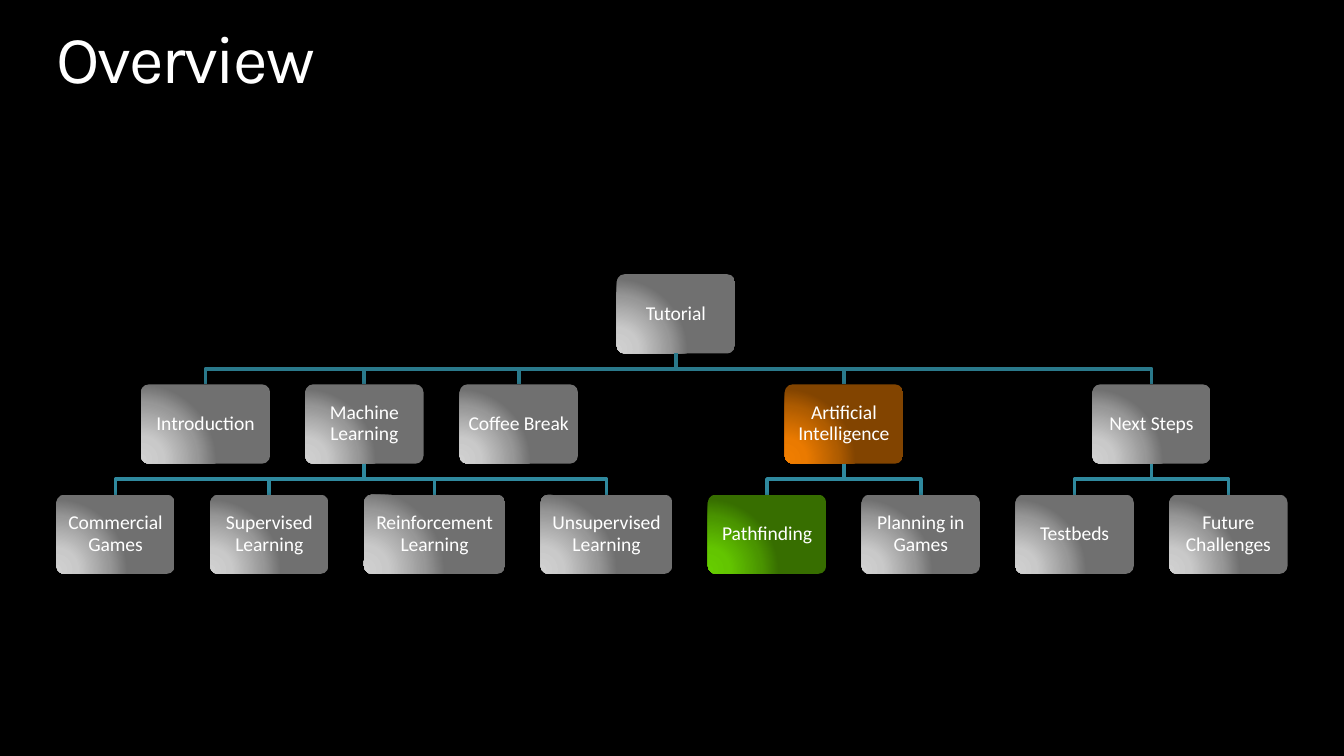
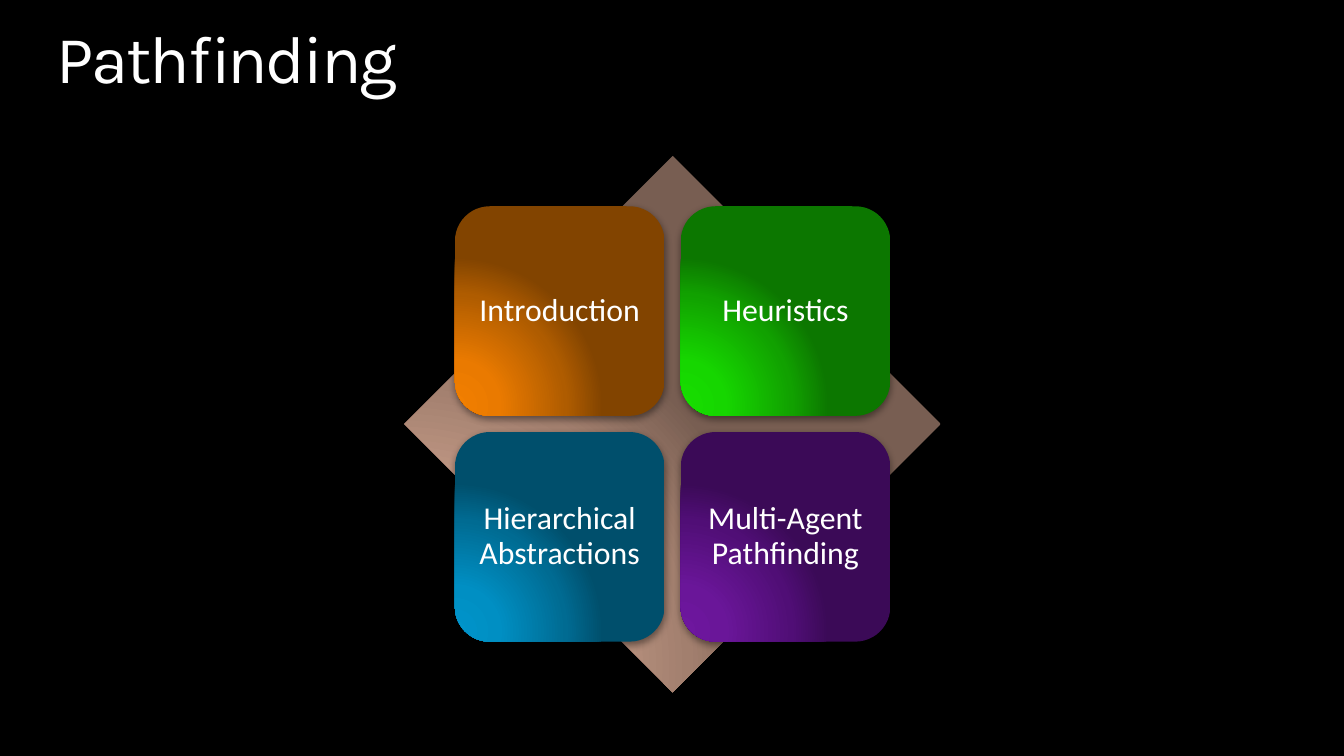
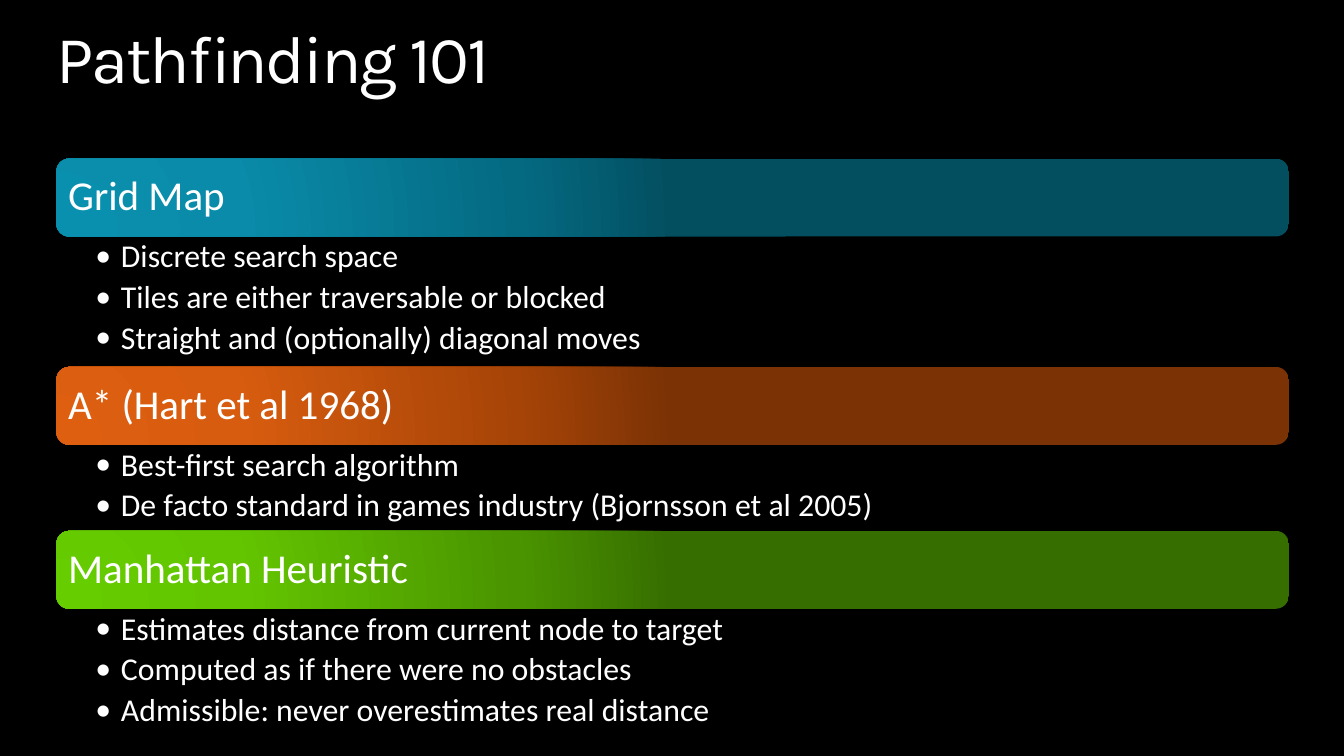
from lxml import etree
from pptx import Presentation
from pptx.dml.color import RGBColor
from pptx.enum import shapes as kinds, text as t
from pptx.oxml import ns
from pptx.util import Inches, Pt

COLORS = {"background": "000000", "text": "FFFFFF", "title_end": "85CBFF",
          "trunk": "2A798B", "twig": "2F899E"}

# Glow colours, from the bright lower left corner outwards
GLOWS = {
    "gray": ("D1D1D1", "C9C9C9", "979797", "707070"),
    "orange": ("F27F00", "EA7A00", "AF5C00", "824400"),
    "lime": ("66CD00", "63C500", "4A9400", "376E00"),
    "green": ("17DE00", "16D600", "11A100", "0C7700"),
    "blue": ("0094CA", "008FC3", "006B92", "004F6C"),
    "purple": ("6E179E", "6A1699", "500E76", "3B0A57"),
    "tan": ("DEB19B", "D6AA95", "A27F6E", "785E52"),
    "teal": ("0A90AF", "0A8BA9", "046A82", "034F60"),
    "rust": ("DF5F10", "D75C0F", "A64407", "7B3205"),
}
GLOW_STOPS = (0, 30, 75, 100)
GLOW_CENTRE = {"l": 5, "t": 100, "r": 120, "b": 10}
MARGIN, CONTENT_WIDTH = 0.42, 9.16


def rgb(name):
    return RGBColor.from_string(COLORS[name])


def add_xml(parent, tag, **attributes):
    child = etree.SubElement(parent, ns.qn(tag))
    for key, value in attributes.items():
        child.set(key, str(value))
    return child


def write(frame, lines, size=17, font="Calibri", align=t.PP_ALIGN.LEFT,
          anchor=t.MSO_ANCHOR.MIDDLE, insets=(0, 0, 0, 0), bullet=False, after=0):
    """Fill a text frame, one paragraph per line, and return its runs."""
    frame.word_wrap = True
    frame.vertical_anchor = anchor
    (frame.margin_left, frame.margin_top,
     frame.margin_right, frame.margin_bottom) = map(Inches, insets)
    runs = []
    for index, line in enumerate(lines):
        paragraph = frame.paragraphs[0] if index == 0 else frame.add_paragraph()
        if bullet:
            paragraph.level = 1
            properties = paragraph._p.get_or_add_pPr()
            properties.set("marL", str(Inches(0.19)))
            properties.set("indent", str(Inches(-0.19)))
            add_xml(properties, "a:buFont", typeface=font)
            add_xml(properties, "a:buChar", char="•")
        paragraph.alignment = align
        paragraph.line_spacing = 0.9
        paragraph.space_before = Pt(0)
        paragraph.space_after = Pt(after)
        run = paragraph.add_run()
        run.text = line
        run.font.size, run.font.name = Pt(size), font
        run.font.color.rgb = rgb("text")
        runs.append(run)
    return runs


def glowing_shape(slide, kind, box, glow, corner=None, shadow=True):
    """Add a shape lit from its lower left corner."""
    shape = slide.shapes.add_shape(kind, *map(Inches, box))
    if corner is not None:
        shape.adjustments[0] = corner
    shape.line.fill.background()
    shape.fill.gradient()
    gradient = shape._element.spPr.find(ns.qn("a:gradFill"))
    for child in list(gradient):
        gradient.remove(child)
    stops = add_xml(gradient, "a:gsLst")
    for position, color in zip(GLOW_STOPS, GLOWS[glow]):
        stop = add_xml(stops, "a:gs", pos=position * 1000)
        add_xml(stop, "a:srgbClr", val=color)
    circle = add_xml(gradient, "a:path", path="circle")
    add_xml(circle, "a:fillToRect", **{side: v * 1000 for side, v in GLOW_CENTRE.items()})
    shape.shadow.inherit = False
    if shadow:
        effects = shape._element.spPr.find(ns.qn("a:effectLst"))
        outer = add_xml(effects, "a:outerShdw", blurRad=Pt(4), dist=Pt(1.6),
                        dir=90 * 60000, rotWithShape=0)
        color = add_xml(outer, "a:srgbClr", val=COLORS["background"])
        add_xml(color, "a:alpha", val=42000)
    return shape


def titled_slide(deck, heading):
    slide = deck.slides.add_slide(deck.slide_layouts[5])
    title = slide.shapes.title
    title.left, title.top = Inches(MARGIN), Inches(0.19)
    title.width, title.height = Inches(CONTENT_WIDTH), Inches(0.55)
    run, = write(title.text_frame, [heading], size=36, font="Karla",
                 anchor=t.MSO_ANCHOR.TOP)
    title.text_frame.auto_size = t.MSO_AUTO_SIZE.SHAPE_TO_FIT_TEXT
    run._r.get_or_add_rPr().set("spc", "-110")
    fill = run.font.fill
    fill.gradient()
    fill.gradient_angle = 270
    for stop, name in zip(fill.gradient_stops, ("text", "title_end")):
        stop.color.rgb = rgb(name)
    return slide


# Topic tree
NODE_WIDTH, NODE_HEIGHT, LEVEL_GAP = 0.88, 0.59, 0.23
WIDE_NODES = {"Introduction": 0.96, "Reinforcement Learning": 1.05,
              "Unsupervised Learning": 0.98}
NODE_GLOWS = {"Artificial Intelligence": "orange", "Pathfinding": "lime"}
# Topic, its subtopics, and the offset from the left for a topic without any
TOPICS = [
    ("Introduction", [], 0.63),
    ("Machine Learning", ["Commercial Games", "Supervised Learning",
                          "Reinforcement Learning", "Unsupervised Learning"], None),
    ("Coffee Break", [], 3.0),
    ("Artificial Intelligence", ["Pathfinding", "Planning in Games"], None),
    ("Next Steps", ["Testbeds", "Future Challenges"], None),
]


def node_width(name):
    return WIDE_NODES.get(name, NODE_WIDTH)


def span_middle(names, lefts):
    return (lefts[names[0]] + lefts[names[-1]] + node_width(names[-1])) / 2


def topic_tree(slide, left, top, width):
    # Subtopics share the width with equal gaps; parents sit over their middle
    leaves = [name for _, subtopics, _ in TOPICS for name in subtopics]
    gap = (width - sum(map(node_width, leaves))) / (len(leaves) - 1)
    lefts, x = {}, left
    for name in leaves:
        lefts[name] = x
        x += node_width(name) + gap
    for topic, subtopics, offset in TOPICS:
        lefts[topic] = (span_middle(subtopics, lefts) - node_width(topic) / 2
                        if subtopics else left + offset)
    topics = [topic for topic, _, _ in TOPICS]
    lefts["Tutorial"] = span_middle(topics, lefts) - NODE_WIDTH / 2

    def level_top(level):
        return top + level * (NODE_HEIGHT + LEVEL_GAP)

    def branch(parent, child, level, color):
        start, end = (lefts[n] + node_width(n) / 2 for n in (parent, child))
        bottom = level_top(level)
        bend = bottom - LEVEL_GAP / 2
        points = [(start, bottom - LEVEL_GAP), (start, bend), (end, bend), (end, bottom)]
        corners = [(Inches(px), Inches(py)) for px, py in points]
        builder = slide.shapes.build_freeform(*corners[0])
        builder.add_line_segments(corners[1:], close=False)
        line = builder.convert_to_shape()
        line.fill.background()
        line.line.color.rgb, line.line.width = rgb(color), Pt(2)
        line.shadow.inherit = False

    def node(name, level):
        box = (lefts[name], level_top(level), node_width(name), NODE_HEIGHT)
        shape = glowing_shape(slide, kinds.MSO_SHAPE.ROUNDED_RECTANGLE, box,
                              NODE_GLOWS.get(name, "gray"), corner=0.1)
        write(shape.text_frame, [name], size=10.5, align=t.PP_ALIGN.CENTER,
              insets=(0.03,) * 4)

    node("Tutorial", 0)
    for topic, subtopics, _ in TOPICS:
        branch("Tutorial", topic, 1, "trunk")
        node(topic, 1)
        for subtopic in subtopics:
            branch(topic, subtopic, 2, "twig")
            node(subtopic, 2)


# Four tiles on a diamond
TILES = [("Introduction", "orange"), ("Heuristics", "green"),
         ("Hierarchical Abstractions", "blue"), ("Multi-Agent Pathfinding", "purple")]


def tile_matrix(slide, left, top, side):
    glowing_shape(slide, kinds.MSO_SHAPE.DIAMOND, (left, top, side, side), "tan",
                  shadow=False)
    tile, gap = 1.56, 0.12
    inset = (side - 2 * tile - gap) / 2
    for index, (label, glow) in enumerate(TILES):
        row, column = divmod(index, 2)
        box = (left + inset + column * (tile + gap),
               top + inset + row * (tile + gap), tile, tile)
        shape = glowing_shape(slide, kinds.MSO_SHAPE.ROUNDED_RECTANGLE, box, glow)
        write(shape.text_frame, [label], align=t.PP_ALIGN.CENTER)


# Headed bullet lists
SECTIONS = [
    ("Grid Map", "teal", ["Discrete search space",
                          "Tiles are either traversable or blocked",
                          "Straight and (optionally) diagonal moves"]),
    ("A* (Hart et al 1968)", "rust",
     ["Best-first search algorithm",
      "De facto standard in games industry (Bjornsson et al 2005)"]),
    ("Manhattan Heuristic", "lime", ["Estimates distance from current node to target",
                                     "Computed as if there were no obstacles",
                                     "Admissible: never overestimates real distance"]),
]


def section_list(slide, left, top, width):
    bar_height = 0.58
    for heading, glow, points in SECTIONS:
        bar = glowing_shape(slide, kinds.MSO_SHAPE.ROUNDED_RECTANGLE,
                            (left, top, width, bar_height), glow)
        write(bar.text_frame, [heading], size=22, insets=(0.06,) * 4)
        top += bar_height
        list_height = 0.33 * len(points) - 0.02
        details = slide.shapes.add_textbox(*map(Inches, (left, top, width, list_height)))
        write(details.text_frame, points, anchor=t.MSO_ANCHOR.TOP, bullet=True, after=3.4,
              insets=(0.29, 0.03, 0.17, 0.03))
        top += list_height


def main():
    deck = Presentation()
    deck.slide_width = Inches(10)
    deck.slide_height = deck.slide_width * 9 // 16
    backdrop = deck.slide_master.background.fill
    backdrop.solid()
    backdrop.fore_color.rgb = rgb("background")

    topic_tree(titled_slide(deck, "Overview"), MARGIN, 2.04, CONTENT_WIDTH)
    tile_matrix(titled_slide(deck, "Pathfinding"), 3.01, 1.16, 3.99)
    section_list(titled_slide(deck, "Pathfinding 101"), MARGIN, 1.18, 9.17)
    deck.save("out.pptx")


if __name__ == "__main__":
    main()
